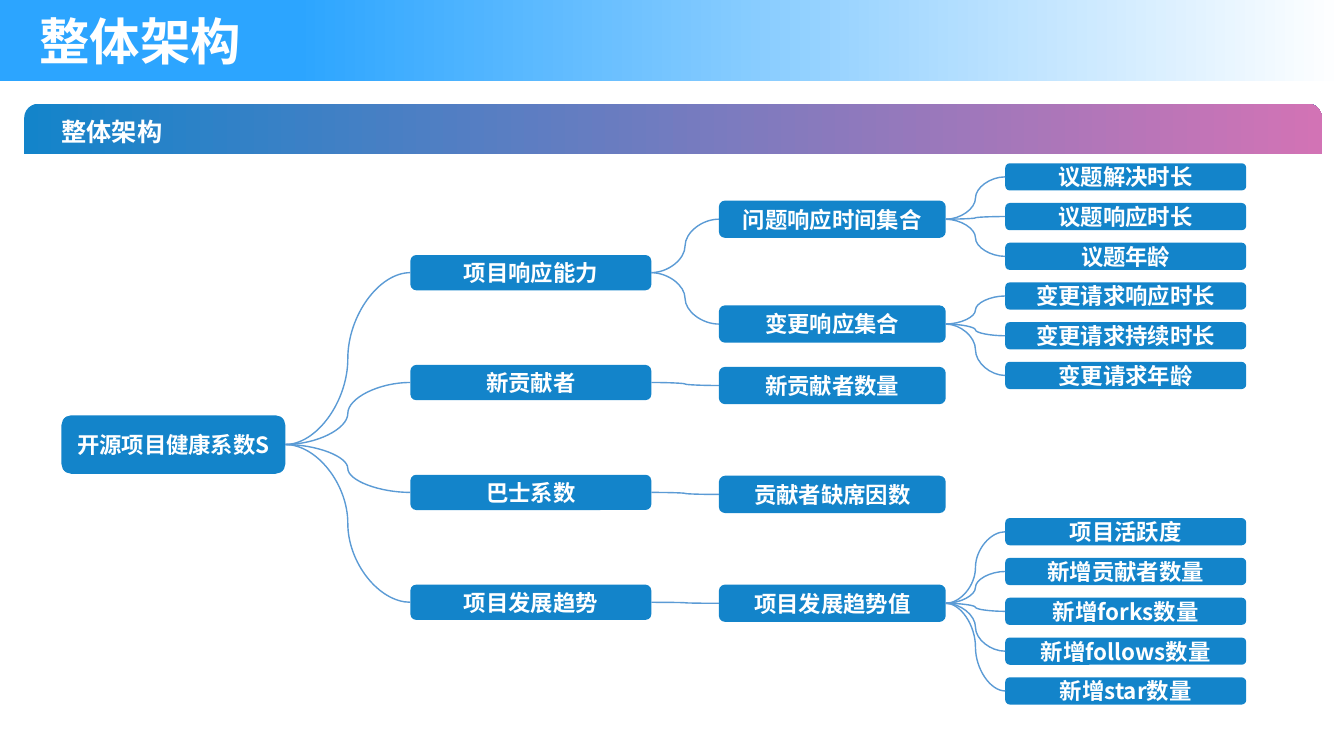
from dataclasses import dataclass

from lxml import etree
from pptx import Presentation
from pptx.dml.color import RGBColor
from pptx.enum.shapes import MSO_CONNECTOR, MSO_SHAPE
from pptx.enum.text import MSO_ANCHOR, MSO_AUTO_SIZE, PP_ALIGN
from pptx.oxml.ns import qn
from pptx.util import Inches, Pt

ROUNDED = MSO_SHAPE.ROUNDED_RECTANGLE
ROUNDED_TOP = MSO_SHAPE.ROUND_2_SAME_RECTANGLE
CURVE = MSO_CONNECTOR.CURVE
MIDDLE = MSO_ANCHOR.MIDDLE
FIXED = MSO_AUTO_SIZE.NONE
LEFT, CENTER = PP_ALIGN.LEFT, PP_ALIGN.CENTER
LEFT_SIDE, RIGHT_SIDE = 1, 3
TITLE_ONLY = 5


@dataclass(frozen=True)
class Theme:
    font: str = "Noto Sans CJK SC"
    text: RGBColor = RGBColor(0xFF, 0xFF, 0xFF)
    sky: RGBColor = RGBColor(0x2C, 0xA5, 0xFF)
    white: RGBColor = RGBColor(0xFF, 0xFF, 0xFF)
    node: RGBColor = RGBColor(0x13, 0x84, 0xCA)
    pink: RGBColor = RGBColor(0xD2, 0x73, 0xB5)
    branch: RGBColor = RGBColor(0x5B, 0x9B, 0xD5)
    title_size: int = 36
    section_size: int = 18
    node_size: int = 16
    branch_width: int = 1


THEME = Theme()

COLUMNS = [
    {"left": 0, "width": 2.22, "height": 0.58},
    {"left": 3.46, "width": 2.39, "height": 0.35},
    {"left": 6.52, "width": 2.25, "height": 0.37},
    {"left": 9.36, "width": 2.39, "height": 0.27},
]


def evenly(first, last, names):
    step = (last - first) / (len(names) - 1)
    return [(name, first + step * index, []) for index, name in enumerate(names)]


ISSUES_AND_CHANGES = evenly(0, 1.97, [
    "议题解决时长", "议题响应时长", "议题年龄",
    "变更请求响应时长", "变更请求持续时长", "变更请求年龄",
])
TRENDS = evenly(3.52, 5.1, [
    "项目活跃度", "新增贡献者数量", "新增forks数量", "新增follows数量", "新增star数量",
])
HEALTH_TREE = ("开源项目健康系数S", 2.5, [
    ("项目响应能力", 0.91, [
        ("问题响应时间集合", 0.37, ISSUES_AND_CHANGES[:3]),
        ("变更响应集合", 1.41, ISSUES_AND_CHANGES[3:]),
    ]),
    ("新贡献者", 2.0, [("新贡献者数量", 2.02, [])]),
    ("巴士系数", 3.09, [("贡献者缺席因数", 3.1, [])]),
    ("项目发展趋势", 4.18, [("项目发展趋势值", 4.18, TRENDS)]),
])


def assign(target, values):
    for name, value in values.items():
        setattr(target, name, value)


def write(shape, text, size, align, inset=0.1):
    frame = shape.text_frame
    assign(frame, {"word_wrap": True, "auto_size": FIXED, "vertical_anchor": MIDDLE,
                   "margin_left": Inches(inset), "margin_right": Inches(0.1),
                   "margin_top": Inches(0.05), "margin_bottom": Inches(0.05)})
    para = frame.paragraphs[0]
    para.alignment = align
    span = para.add_run()
    span.text = text
    span.font.color.rgb = THEME.text
    assign(span.font, {"name": THEME.font, "size": Pt(size), "bold": True})
    properties = span.font._element
    etree.SubElement(properties, qn("a:ea")).set("typeface", THEME.font)


def fill_across(shape, start, end, start_position=0):
    shape.fill.gradient()
    shape.fill.gradient_angle = 0
    stops = shape.fill.gradient_stops
    for stop, color, position in zip(stops, (start, end), (start_position, 1)):
        stop.color.rgb = color
        stop.position = position


def add_block(page, kind, box):
    shape = page.shapes.add_shape(kind, *(Inches(length) for length in box))
    shape.shadow.inherit = False
    shape.line.fill.background()
    return shape


def add_title(page, box):
    title = page.shapes.title
    assign(title, dict(zip(("left", "top", "width", "height"), map(Inches, box))))
    fill_across(title, THEME.sky, THEME.white, 0.22)
    write(title, "整体架构", THEME.title_size, LEFT, inset=0.39)


def add_section_bar(page, box):
    bar = add_block(page, ROUNDED_TOP, box)
    bar.adjustments[0] = 0.28
    fill_across(bar, THEME.node, THEME.pink)
    write(bar, "整体架构", THEME.section_size, LEFT, inset=0.33)


def add_branch(page, parent, child):
    branch = page.shapes.add_connector(CURVE, 0, 0, 0, 0)
    branch.begin_connect(parent, RIGHT_SIDE)
    branch.end_connect(child, LEFT_SIDE)
    branch.line.color.rgb = THEME.branch
    branch.line.width = Pt(THEME.branch_width)
    etree.SubElement(branch._element.spPr, qn("a:effectLst"))


def add_tree(page, box, tree, level=0):
    left, top = box
    text, offset, children = tree
    column = COLUMNS[level]
    node = add_block(page, ROUNDED, (left + column["left"], top + offset,
                                     column["width"], column["height"]))
    node.fill.solid()
    node.fill.fore_color.rgb = THEME.node
    write(node, text, THEME.node_size, CENTER)
    for child in children:
        add_branch(page, node, add_tree(page, box, child, level + 1))
    return node


def main():
    deck = Presentation()
    assign(deck, {"slide_width": Inches(13.33), "slide_height": Inches(7.5)})
    page = deck.slides.add_slide(deck.slide_layouts[TITLE_ONLY])
    add_title(page, (0, 0, 13.33, 0.8))
    add_section_bar(page, (0.24, 1.03, 12.87, 0.5))
    add_tree(page, (0.61, 1.62), HEALTH_TREE)
    deck.save("out.pptx")


if __name__ == "__main__":
    main()
